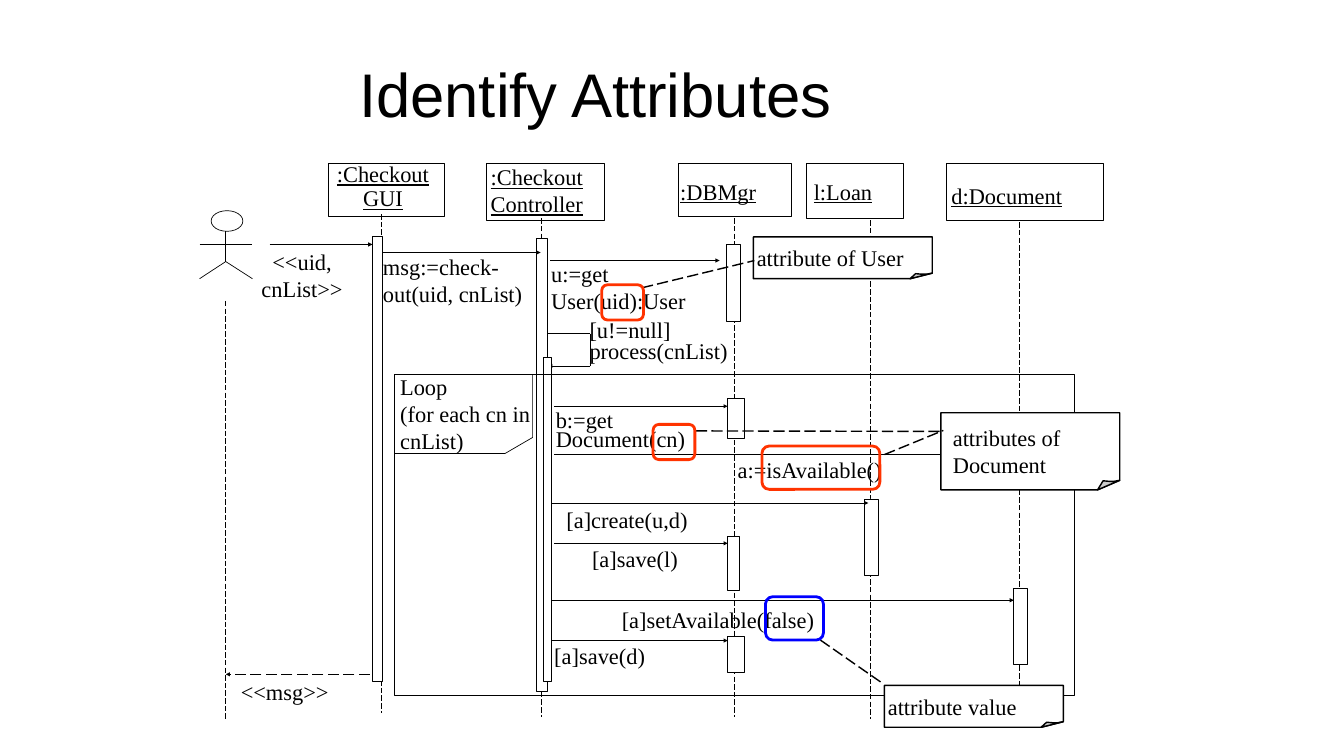
from dataclasses import dataclass

from lxml import etree
from pptx import Presentation
from pptx.dml.color import RGBColor
from pptx.enum.dml import MSO_LINE
from pptx.enum.shapes import MSO_CONNECTOR, MSO_SHAPE
from pptx.enum.text import MSO_ANCHOR, MSO_AUTO_SIZE, PP_ALIGN
from pptx.oxml.ns import qn
from pptx.util import Pt

PX = 9144  # EMU per px, 100 px to the inch
RECT, ROUND, OVAL = MSO_SHAPE.RECTANGLE, MSO_SHAPE.ROUNDED_RECTANGLE, MSO_SHAPE.OVAL
STRAIGHT, DASH = MSO_CONNECTOR.STRAIGHT, MSO_LINE.LONG_DASH
LEFT, CENTER = PP_ALIGN.LEFT, PP_ALIGN.CENTER
TOP, MIDDLE = MSO_ANCHOR.TOP, MSO_ANCHOR.MIDDLE
FIT, FIXED = MSO_AUTO_SIZE.SHAPE_TO_FIT_TEXT, MSO_AUTO_SIZE.NONE


@dataclass(frozen=True)
class Theme:
    ink: str = "000000"
    paper: str = "FFFFFF"
    fold: str = "CCCCCC"
    attribute: str = "FF3300"
    value: str = "0000FF"
    title_font: str = "Arial"
    body_font: str = "Times New Roman"
    title_size: int = 88
    body_size: int = 32
    thin: int = 1
    medium: int = 2
    thick: int = 4


def set_all(target, values):
    for name, value in values.items():
        setattr(target, name, value)


class Diagram:
    def __init__(self, slide, theme):
        self.s, self.t = slide, theme

    def stroke(self, line, width, color=None):
        line.color.rgb = RGBColor.from_string(color or self.t.ink)
        line.width = Pt(width)

    def paint(self, sp, fill, width, color=None):
        sp.shadow.inherit = False
        if fill:
            sp.fill.solid()
            sp.fill.fore_color.rgb = RGBColor.from_string(fill)
        else:
            sp.fill.background()
        self.stroke(sp.line, width, color)

    def box(self, x, y, w, h, kind=RECT, fill=None, width=None, color=None):
        sp = self.s.shapes.add_shape(kind, x * PX, y * PX, w * PX, h * PX)
        self.paint(sp, fill, width or self.t.thin, color)

    def polygon(self, points, fill=None, width=None):
        builder = self.s.shapes.build_freeform(*points[0], scale=PX)
        builder.add_line_segments(points[1:], close=True)
        self.paint(builder.convert_to_shape(), fill, width or self.t.thin)

    def line(self, x1, y1, x2, y2, width=None, dashed=False, arrow=False):
        c = self.s.shapes.add_connector(STRAIGHT, x1 * PX, y1 * PX, x2 * PX, y2 * PX)
        self.stroke(c.line, width or self.t.thin)
        if dashed:
            c.line.dash_style = DASH
        if arrow:
            etree.SubElement(c.line._get_or_add_ln(), qn("a:tailEnd"), type="triangle")
        etree.SubElement(c._element.spPr, qn("a:effectLst"))

    def text(self, x, y, w, h, words, align=LEFT, spacing=(1, 1), wrap=False,
             inset=10, underline=None, font=None, size=None, anchor=TOP, auto_size=FIT):
        """Write one paragraph per line of words; spacing has one entry per paragraph."""
        tf = self.s.shapes.add_textbox(x * PX, y * PX, w * PX, h * PX).text_frame
        set_all(tf, dict(word_wrap=wrap, vertical_anchor=anchor, auto_size=auto_size))
        set_all(tf, {f"margin_{side}": inset * PX
                     for side in ("left", "top", "right", "bottom")})
        tf.text = words
        for p, ratio in zip(tf.paragraphs, spacing):
            set_all(p, dict(alignment=align, line_spacing=ratio))
            for r in p.runs:
                set_all(r.font, dict(name=font or self.t.body_font, underline=underline,
                                     size=Pt(size or self.t.body_size)))
                r.font.color.rgb = RGBColor.from_string(self.t.ink)

    def note(self, x, y, h, fold, words, label, wrap):
        """Draw a note with its bottom right corner turned up by fold px."""
        right, bottom = x + 355, y + h
        corner, lip = right - 44, bottom - fold
        self.polygon([(x, y), (x, bottom), (corner, bottom), (right, lip), (right, y)],
                     self.t.paper, self.t.medium)
        self.polygon([(corner, bottom), (corner + 11, lip + 1), (corner + 22, lip + 2),
                      (corner + 33, lip + 2), (right, lip)], self.t.fold, self.t.medium)
        self.text(*label, words, wrap=wrap)


# head box, label box, label, label format, lifeline x, lifeline top
PARTICIPANTS = [
    ((652, 325, 230, 104), (658, 314, 204, 116), ":Checkout\nGUI",
     dict(align=CENTER, spacing=(0.9, 0.9)), 756, 425),
    ((966, 325, 233, 112), (964, 314, 204, 121), ":Checkout\nController", {}, 1075, 433),
    ((1346, 325, 225, 104), (1340, 343, 172, 70), ":DBMgr", {}, 1457, 433),
    ((1600, 325, 193, 108), (1605, 343, 137, 70), "l:Loan", {}, 1727, 437),
    ((1878, 325, 311, 112), (1878, 351, 241, 70), "d:Document", {}, 2023, 441),
]
LIFELINE = 990
ACTIVATIONS = [
    (739, 469, 20, 882), (1064, 473, 23, 899), (1441, 485, 28, 152),
    (1444, 790, 33, 80), (1715, 990, 28, 152), (1444, 1064, 24, 108),
    (2010, 1167, 28, 152), (1444, 1262, 33, 72),
]
NESTED_ACTIVATION = (1078, 710, 17, 641)
MESSAGES = [  # from x, to x, y
    (535, 739, 485), (761, 1073, 501), (1092, 1428, 517), (1100, 1444, 806),
    (1100, 2002, 902), (1088, 1723, 998), (1100, 1444, 1078), (1096, 2012, 1191),
    (1096, 1444, 1271),
]
TIGHT = dict(spacing=(0.7, 0.7))
LABELS = [
    ((432, 482, 335, 121), "<<uid,\ncnList>>", dict(align=CENTER, wrap=True)),
    ((750, 493, 351, 121), "msg:=check-\nout(uid, cnList)", dict(wrap=True)),
    ((1084, 507, 288, 121), "u:=get\nUser(uid):User", {}),
    ((1160, 617, 561, 121), "[u!=null]\nprocess(cnList)",
     dict(spacing=(1, 0.75), wrap=True)),
    ((1093, 810, 278, 106), "b:=get\nDocument(cn)", TIGHT),
    ((1454, 896, 307, 70), "a:=isAvailable()", {}),
    ((1114, 994, 262, 70), "[a]create(u,d)", {}),
    ((1164, 1086, 192, 70), "[a]save(l)", dict(align=CENTER, **TIGHT)),
    ((1224, 1193, 403, 70), "[a]setAvailable(false)", {}),
    ((1090, 1278, 202, 70), "[a]save(d)", TIGHT),
    ((468, 1335, 196, 70), "<<msg>>", {}),
    ((794, 741, 271, 152), "Loop\n(for each cn in cnList)", dict(inset=0, wrap=True)),
]
NOTES = [  # left, top, height, fold, words, label box, wrap
    (1495, 470, 83, 11, "attribute of User", (1492, 474, 313, 70), False),
    (1755, 1360, 83, 11, "attribute value", (1752, 1365, 328, 70), True),
    (1867, 819, 153, 19, "attributes of Document", (1881, 831, 325, 121), True),
]
NOTE_LINKS = [
    (1274, 571, 1497, 517), (1628, 1270, 1753, 1357),
    (1755, 902, 1872, 854), (1381, 855, 1870, 856),
]
ATTRIBUTES = [(1194, 565, 83, 70), (1512, 885, 234, 86), (1296, 842, 83, 70)]
VALUE = (1519, 1184, 115, 86)


def draw_actor(d):
    d.box(419, 418, 63, 41, OVAL)
    for limb in [(448, 458, 448, 519), (448, 519, 501, 553),
                 (448, 519, 396, 553), (396, 485, 501, 485)]:
        d.line(*limb)
    d.line(447, 597, 447, 1427, dashed=True)


def draw_interaction(d):
    for head, place, words, style, x, top in PARTICIPANTS:
        d.box(*head)
        d.text(*place, words, underline=True, **style)
        d.line(x, top, x, top + LIFELINE, dashed=True)
    for bar in ACTIVATIONS:
        d.box(*bar, fill=d.t.paper)
    for x1, x2, y in MESSAGES:
        d.line(x1, y, x2, y, arrow=True)
    d.line(734, 1338, 448, 1338, width=d.t.medium, dashed=True, arrow=True)
    d.line(1088, 662, 1171, 662)
    d.line(1171, 662, 1171, 726)
    d.line(1171, 726, 1088, 726, arrow=True)
    d.box(*NESTED_ACTIVATION, fill=d.t.paper)
    d.box(783, 743, 1348, 637)
    d.polygon([(1002, 900), (783, 900), (783, 743), (1057, 743), (1057, 868)])
    for place, words, style in LABELS:
        d.text(*place, words, **style)


def draw_annotations(d):
    for note in NOTES:
        d.note(*note)
    for link in NOTE_LINKS:
        d.line(*link, width=d.t.medium, dashed=True)
    for mark in ATTRIBUTES:
        d.box(*mark, kind=ROUND, width=d.t.thick, color=d.t.attribute)
    d.box(*VALUE, kind=ROUND, width=d.t.thick, color=d.t.value)


def main():
    prs = Presentation()
    set_all(prs, dict(slide_width=2667 * PX, slide_height=1500 * PX))
    d = Diagram(prs.slides.add_slide(prs.slide_layouts[6]), Theme())
    d.text(703, 60, 1530, 250, "Identify Attributes", wrap=True, anchor=MIDDLE,
           auto_size=FIXED, font=d.t.title_font, size=d.t.title_size)
    draw_actor(d)
    draw_interaction(d)
    draw_annotations(d)
    prs.save("out.pptx")


if __name__ == "__main__":
    main()
